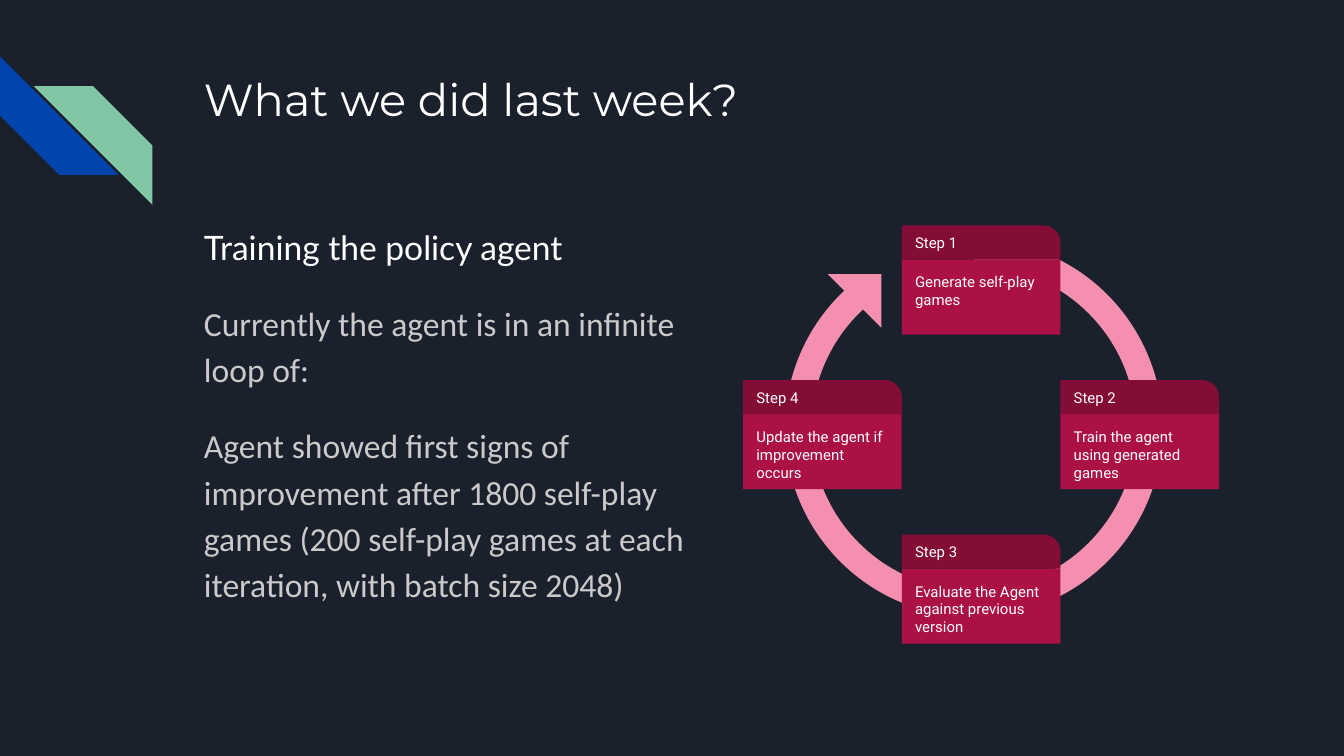
from pptx import Presentation
from pptx.dml.color import RGBColor
from pptx.enum.shapes import MSO_SHAPE as Preset
from pptx.enum.text import MSO_ANCHOR as Anchor, PP_ALIGN as Align
from pptx.util import Pt

WHITE, GREY, PINK = "FFFFFF", "CACACA", "F48FB0"
CRIMSON, MAROON = "AC1145", "840D35"
INSET = 7.2


def add_preset(preset, left, top, width, height, fill, rotation=0):
    shape = slide.shapes.add_shape(preset, Pt(left), Pt(top), Pt(width), Pt(height))
    shape.shadow.inherit = False
    shape.fill.solid()
    shape.fill.fore_color.rgb = RGBColor.from_string(fill)
    shape.line.fill.background()
    shape.rotation = rotation
    return shape


def write(shape, paragraphs, anchor=Anchor.TOP):
    """Fill a shape with paragraphs given as (text, font, size, colour)."""
    frame = shape.text_frame
    frame.word_wrap = True
    frame.vertical_anchor = anchor
    frame.margin_left = frame.margin_right = Pt(INSET)
    frame.margin_top = frame.margin_bottom = Pt(INSET)
    frame.text = "\n".join(text for text, *_ in paragraphs)
    for paragraph, (_, font, size, colour) in zip(frame.paragraphs, paragraphs):
        paragraph.alignment = Align.LEFT
        for run in paragraph.runs:
            run.font.name = font
            run.font.size = Pt(size)
            run.font.color.rgb = RGBColor.from_string(colour)
    return frame


prs = Presentation()
prs.slide_width, prs.slide_height = Pt(720), Pt(405)
slide = prs.slides.add_slide(prs.slide_layouts[6])
slide.background.fill.solid()
slide.background.fill.fore_color.rgb = RGBColor.from_string("1B212C")

# Corner stripes
add_preset(Preset.DIAGONAL_STRIPE, 0, 30.2, 63.5, 63.5, "0145AC", rotation=270)
green_stripe = add_preset(Preset.DIAGONAL_STRIPE, 18.2, 46.2, 63.5, 63.5, "82C7A5")
green_stripe._element.spPr.xfrm.set("flipH", "1")

# Title and body
title = slide.shapes.add_textbox(Pt(102.2), Pt(31), Pt(554.4), Pt(72))
write(title, [("What we did last week?", "Montserrat", 24, WHITE)])

summary = slide.shapes.add_textbox(Pt(102.2), Pt(110.9), Pt(298), Pt(214.6))
summary_frame = write(summary, [
    ("Training the policy agent", "Lato", 18, WHITE),
    ("Currently the agent is in an infinite loop of:", "Calibri", 18, GREY),
    ("Agent showed first signs of improvement after 1800 self-play games "
     "(200 self-play games at each iteration, with batch size 2048)", "Calibri", 18, GREY),
])
for index, paragraph in enumerate(summary_frame.paragraphs):
    paragraph.line_spacing = 1.15
    if index:
        paragraph.space_before = Pt(16)

# Loop ring and its arrowhead
ring = add_preset(Preset.BLOCK_ARC, 420.5, 128.2, 202.3, 202.3, PINK, rotation=180)
for index, value in enumerate((54, 30.13, 0.07)):
    ring.adjustments[index] = value
add_preset(Preset.RIGHT_TRIANGLE, 443.5, 146.9, 28.6, 28.6, PINK, rotation=180)

# Step cards, placed around the centre card position by (column, row)
CENTRE_LEFT, CENTRE_TOP = 483.1, 203.6
CARD_WIDTH, ROW_PITCH = 85, 82.8
HEADER_HEIGHT, DETAIL_HEIGHT = 18.3, 40.2
steps = [
    ("Step 1", "Generate self-play games", 0, -1),
    ("Step 2", "Train the agent using generated games", 1, 0),
    ("Step 3", "Evaluate the Agent against previous version", 0, 1),
    ("Step 4", "Update the agent if improvement occurs", -1, 0),
]
for name, detail, column, row in steps:
    left = CENTRE_LEFT + column * CARD_WIDTH
    top = CENTRE_TOP + row * ROW_PITCH
    detail_box = add_preset(Preset.RECTANGLE, left, top + HEADER_HEIGHT,
                            CARD_WIDTH, DETAIL_HEIGHT, CRIMSON)
    write(detail_box, [(detail, "Roboto", 8, WHITE)])
    header = add_preset(Preset.ROUND_1_RECTANGLE, left, top, CARD_WIDTH, HEADER_HEIGHT, MAROON)
    header.adjustments[0] = 0.5
    write(header, [(name, "Roboto", 8, WHITE)], Anchor.MIDDLE)

prs.save("out.pptx")
